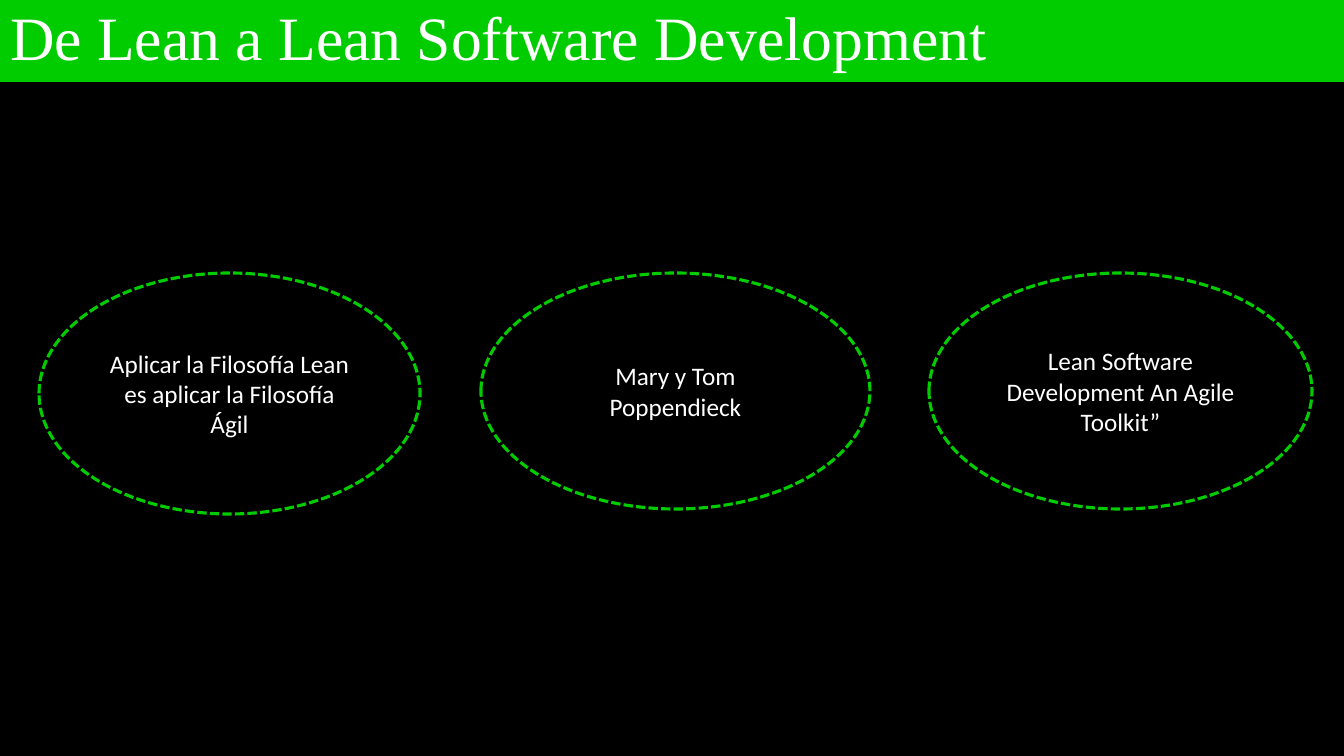
from dataclasses import dataclass

from pptx import Presentation
from pptx.dml.color import RGBColor
from pptx.enum.dml import MSO_LINE
from pptx.enum.shapes import MSO_SHAPE
from pptx.enum.text import MSO_ANCHOR, MSO_AUTO_SIZE, PP_ALIGN
from pptx.shapes.autoshape import Shape
from pptx.slide import Slide
from pptx.util import Emu, Pt

EMU_PER_PX = 914400 / 100.8
SLIDE_WIDTH, SLIDE_HEIGHT = 1344, 756
TITLE_HEIGHT = 82
OVAL_TOP = 273

COLORS = {"background": "000000", "accent": "00CC00", "text": "FFFFFF"}
TITLE_FORMAT = {"name": "Times New Roman", "size": Pt(44)}
OVAL_FORMAT = {"name": "Calibri", "size": Pt(18)}
FRAME_FORMAT = {
    "word_wrap": True,
    "auto_size": MSO_AUTO_SIZE.NONE,
    "vertical_anchor": MSO_ANCHOR.MIDDLE,
}


@dataclass(frozen=True)
class Oval:
    text: str
    left: int
    width: int
    height: int


OVALS = [
    Oval("Aplicar la Filosofía Lean es aplicar la Filosofía Ágil", 39, 381, 241),
    Oval("Mary y Tom Poppendieck", 481, 389, 236),
    Oval("Lean Software Development An Agile Toolkit”", 929, 383, 236),
]


def px(length: int) -> Emu:
    return Emu(round(length * EMU_PER_PX))


def color(name: str) -> RGBColor:
    return RGBColor.from_string(COLORS[name])


def set_attributes(target: object, values: dict) -> None:
    for name, value in values.items():
        setattr(target, name, value)


def fill_shape(shape: Shape, color_name: str) -> None:
    shape.fill.solid()
    shape.fill.fore_color.rgb = color(color_name)


def write_text(shape: Shape, text: str, font_format: dict, paragraph_format: dict) -> None:
    frame = shape.text_frame
    set_attributes(frame, FRAME_FORMAT)
    paragraph = frame.paragraphs[0]
    set_attributes(paragraph, paragraph_format)
    run = paragraph.add_run()
    run.text = text
    set_attributes(run.font, font_format)
    run.font.color.rgb = color("text")


def draw_title(slide: Slide, text: str) -> None:
    title = slide.shapes.title
    set_attributes(title, {"left": px(0), "top": px(0),
                           "width": px(SLIDE_WIDTH), "height": px(TITLE_HEIGHT)})
    fill_shape(title, "accent")
    write_text(title, text, TITLE_FORMAT,
               {"alignment": PP_ALIGN.LEFT, "line_spacing": 0.9})


def draw_oval(slide: Slide, oval: Oval) -> None:
    shape = slide.shapes.add_shape(MSO_SHAPE.OVAL, px(oval.left), px(OVAL_TOP),
                                   px(oval.width), px(oval.height))
    shape.shadow.inherit = False
    fill_shape(shape, "background")
    shape.line.color.rgb = color("accent")
    set_attributes(shape.line, {"width": Pt(2.25), "dash_style": MSO_LINE.SQUARE_DOT})
    write_text(shape, oval.text, OVAL_FORMAT, {"alignment": PP_ALIGN.CENTER})


def main() -> None:
    presentation = Presentation()
    presentation.slide_width = px(SLIDE_WIDTH)
    presentation.slide_height = px(SLIDE_HEIGHT)

    # Black slide with a title only
    slide = presentation.slides.add_slide(presentation.slide_layouts[5])
    background = slide.background.fill
    background.solid()
    background.fore_color.rgb = color("background")

    # Title band
    draw_title(slide, "De Lean a Lean Software Development")

    # Row of dashed ovals
    for oval in OVALS:
        draw_oval(slide, oval)

    presentation.save("out.pptx")


if __name__ == "__main__":
    main()
